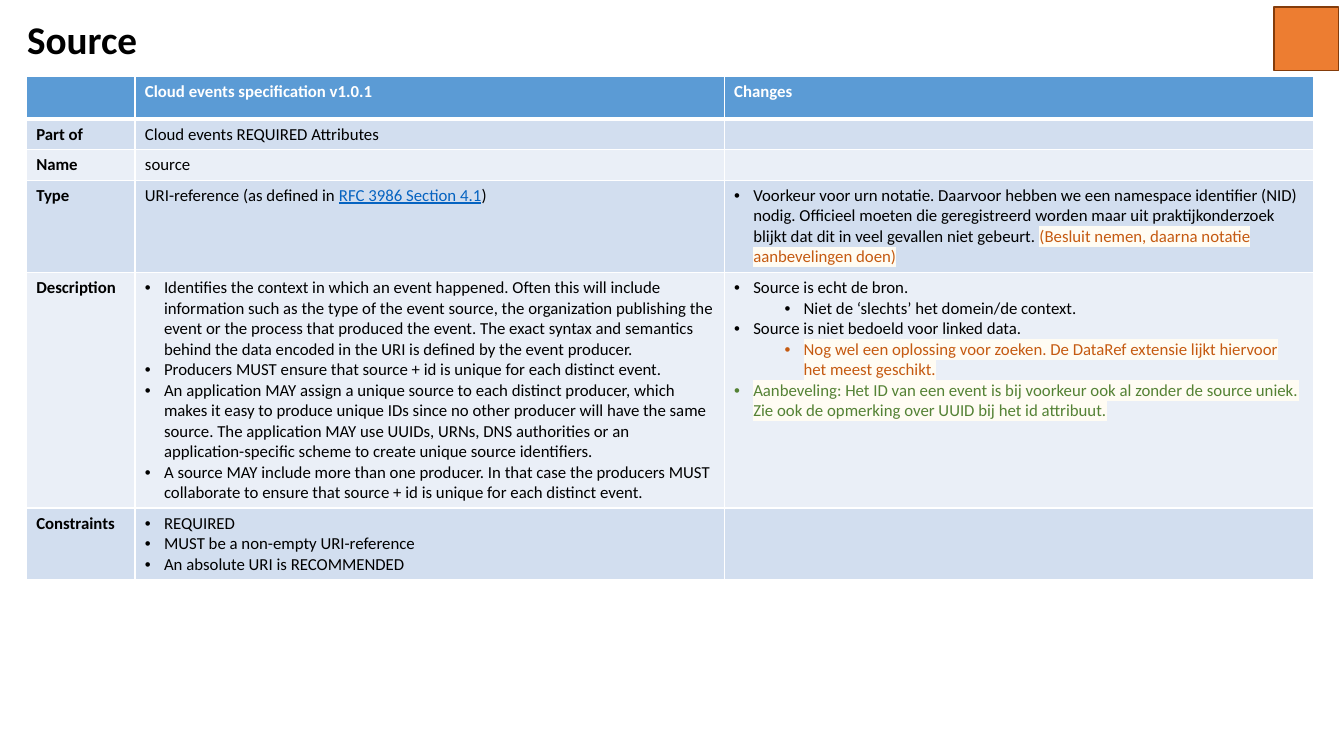
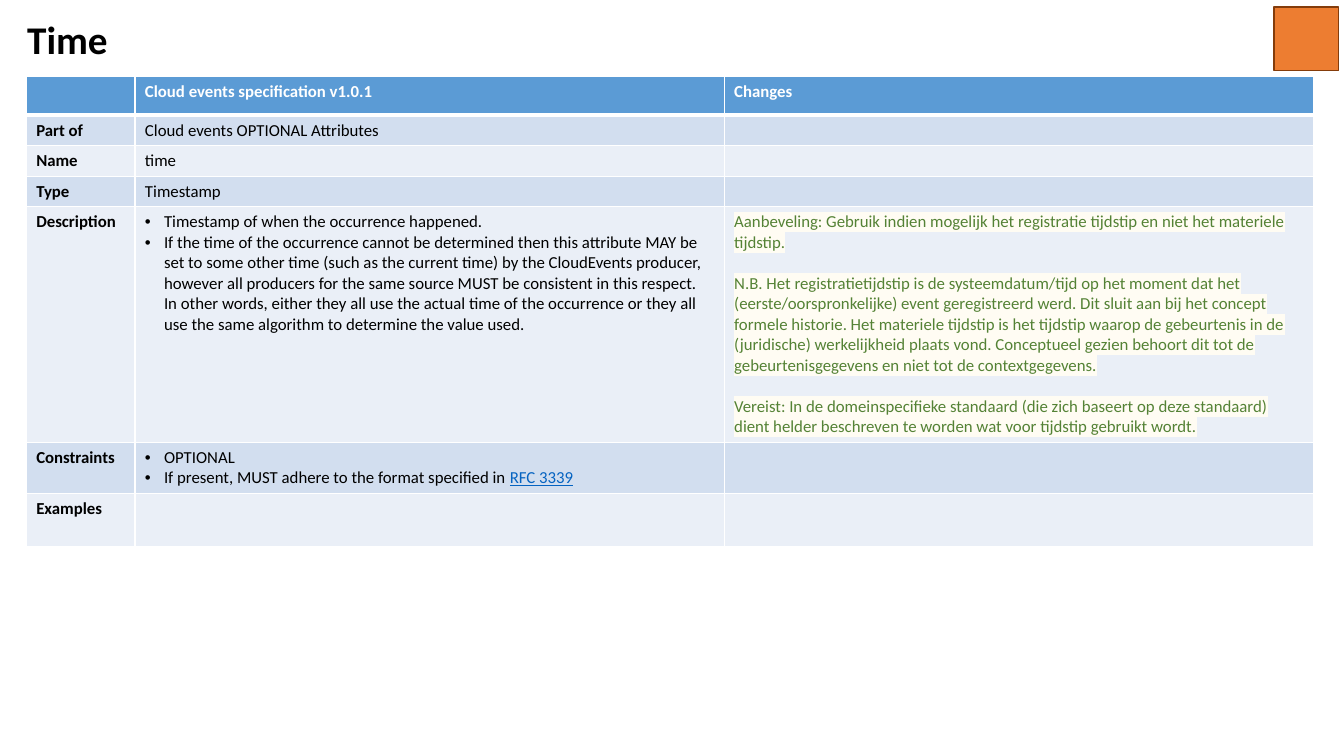
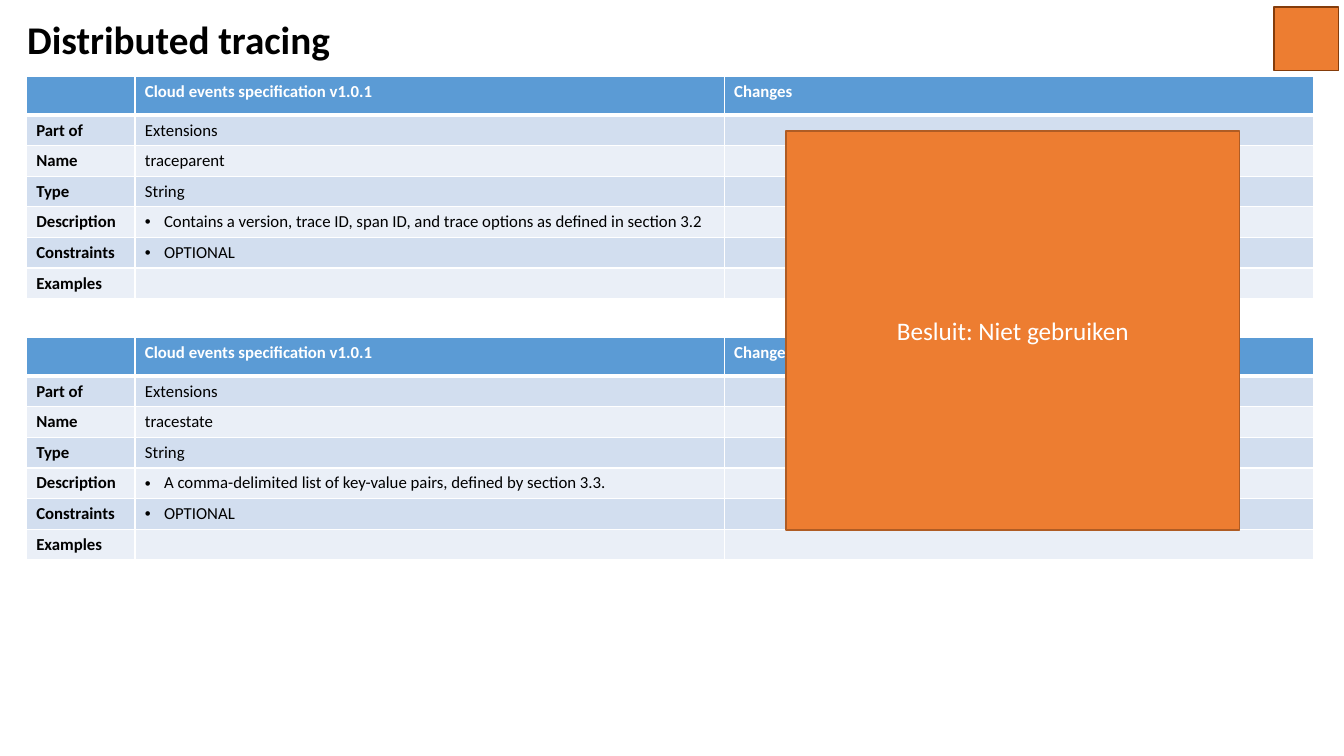
from collections import namedtuple

from lxml.etree import SubElement
from pptx import Presentation
from pptx.dml.color import RGBColor
from pptx.enum.shapes import MSO_SHAPE
from pptx.enum.text import MSO_ANCHOR, PP_ALIGN
from pptx.oxml.ns import qn
from pptx.util import Cm, Pt

COLORS = {
    "black": "000000", "white": "FFFFFF", "header": "5B9BD5",
    "band_dark": "D2DEEF", "band_light": "EAEFF7", "highlight": "FFFCF3",
    "link": "0563C1", "open": "C55A11", "advice": "548235",
    "marker": "ED7D31", "marker_line": "843C0B", "decision_line": "AF5C24",
}
FONT = "Calibri"
STYLES = {
    "title": {"size": Pt(28), "bold": True, "color": "black"},
    "header": {"size": Pt(12), "bold": True, "color": "white"},
    "label": {"size": Pt(12), "bold": True, "color": "black"},
    "body": {"size": Pt(12), "bold": False, "color": "black"},
    "link": {"size": Pt(12), "bold": False, "underline": True, "color": "link"},
    "open": {"size": Pt(12), "bold": False, "color": "open", "highlight": "highlight"},
    "advice": {"size": Pt(12), "bold": False, "color": "advice", "highlight": "highlight"},
    "decision": {"size": Pt(18), "bold": False, "color": "white"},
}

Box = namedtuple("Box", "left top width height")
Run = namedtuple("Run", "text style", defaults=["body"])
Para = namedtuple("Para", "runs level before", defaults=[None, 0])

TITLE_BOX = Box(0.43, 0.18, 15.11, 1.75)
MARKER_BOX = Box(32.11, 0.18, 1.63, 1.6)
TABLE_BOX = Box(0.66, 1.93, 32.44, None)
SECOND_TABLE_BOX = TABLE_BOX._replace(top=8.51)
DECISION_BOX = Box(19.81, 3.3, 11.43, 10.06)
LABEL_WIDTH = 2.74
HANGING = 0.48
LEVEL_STEP = 1.27
ROW = 0.77
BLANK_LINE = 14.65


def rgb(name):
    return RGBColor.from_string(COLORS[name])


def place(sp, box):
    for name, value in box._asdict().items():
        setattr(sp, name, Cm(value))


def add_run(p, text, style):
    r = p.add_run()
    r.text = text
    for name, value in STYLES[style].items():
        if name == "color":
            r.font.color.rgb = rgb(value)
        elif name == "highlight":
            mark = SubElement(r.font._element, qn("a:highlight"))
            SubElement(mark, qn("a:srgbClr"), val=COLORS[value])
        else:
            setattr(r.font, name, value)
    r.font.name = FONT


def set_bullet(p, level):
    pPr = p._p.get_or_add_pPr()
    pPr.set("marL", str(Cm(HANGING + level * LEVEL_STEP)))
    pPr.set("indent", str(-Cm(HANGING)))
    SubElement(pPr, qn("a:buFont"), typeface="Arial")
    SubElement(pPr, qn("a:buChar"), char="•")
    p.level = level


def fill_text(tf, paras):
    for i, para in enumerate(paras):
        p = tf.add_paragraph() if i else tf.paragraphs[0]
        if para.level is not None:
            set_bullet(p, para.level)
        if para.before:
            p.space_before = Pt(para.before)
        for text, style in para.runs:
            add_run(p, text, style)
    if not paras:
        SubElement(tf.paragraphs[0]._p, qn("a:endParaRPr"), sz="1200")


def line(text, style="body"):
    return [Para([Run(text, style)])]


def bullet(text, style="body", level=0):
    return Para([Run(text, style)], level)


def bullets(*texts):
    return [bullet(text) for text in texts]


def set_borders(cell, top, bottom):
    tcPr = cell._tc.get_or_add_tcPr()
    for side, width in (("L", 1), ("R", 1), ("T", top), ("B", bottom)):
        ln = SubElement(tcPr, qn(f"a:ln{side}"), w=str(Pt(width)))
        fill = SubElement(ln, qn("a:solidFill"))
        SubElement(fill, qn("a:srgbClr"), val=COLORS["white"])


def add_spec_table(s, box, heights, rows):
    header = ([], line("Cloud events specification v1.0.1", "header"), line("Changes", "header"))
    body = [(line(label, "label"), spec, changes) for label, spec, changes in rows]
    frame = s.shapes.add_table(len(body) + 1, 3, Cm(box.left), Cm(box.top),
                               Cm(box.width), Cm(sum(heights)))
    table = frame.table
    text_width = (box.width - LABEL_WIDTH) / 2
    for column, width in zip(table.columns, (LABEL_WIDTH, text_width, text_width)):
        column.width = Cm(width)
    for i, (height, cells) in enumerate(zip(heights, [header, *body])):
        table.rows[i].height = Cm(height)
        band = "header" if i == 0 else "band_dark" if i % 2 else "band_light"
        for j, paras in enumerate(cells):
            cell = table.cell(i, j)
            set_borders(cell, 3 if i == 1 else 1, 3 if i == 0 else 1)
            cell.fill.solid()
            cell.fill.fore_color.rgb = rgb(band)
            fill_text(cell.text_frame, paras)


def add_box(s, box, line_color, text=None):
    sp = s.shapes.add_shape(MSO_SHAPE.RECTANGLE, *(Cm(v) for v in box))
    sp.shadow.inherit = False
    sp.fill.solid()
    sp.fill.fore_color.rgb = rgb("marker")
    sp.line.color.rgb = rgb(line_color)
    sp.line.width = Pt(1)
    if text:
        tf = sp.text_frame
        tf.vertical_anchor = MSO_ANCHOR.MIDDLE
        fill_text(tf, line(text, "decision"))
        tf.paragraphs[0].alignment = PP_ALIGN.CENTER


def add_attribute_slide(prs, title, tables):
    s = prs.slides.add_slide(prs.slide_layouts[5])
    place(s.shapes.title, TITLE_BOX)
    tf = s.shapes.title.text_frame
    tf.vertical_anchor = MSO_ANCHOR.MIDDLE
    fill_text(tf, line(title, "title"))
    for name, value in {"alignment": PP_ALIGN.LEFT, "line_spacing": 0.9}.items():
        setattr(tf.paragraphs[0], name, value)
    for box, heights, rows in tables:
        add_spec_table(s, box, heights, rows)
    add_box(s, MARKER_BOX, "marker_line")
    return s


def trace_table(box, name, description):
    rows = [
        ("Part of", line("Extensions"), []),
        ("Name", line(name), []),
        ("Type", line("String"), []),
        ("Description", bullets(description), []),
        ("Constraints", bullets("OPTIONAL"), []),
        ("Examples", [], []),
    ]
    return box, [0.97] + [ROW] * len(rows), rows


SOURCE_ROWS = [
    ("Part of", line("Cloud events REQUIRED Attributes"), []),
    ("Name", line("source"), []),
    ("Type",
     [Para([Run("URI-reference (as defined in "), Run("RFC 3986 Section 4.1", "link"), Run(")")])],
     [Para([Run("Voorkeur voor urn notatie. Daarvoor hebben we een namespace identifier (NID) "
                "nodig. Officieel moeten die geregistreerd worden maar uit praktijkonderzoek "
                "blijkt dat dit in veel gevallen niet gebeurt. "),
            Run("(Besluit nemen, daarna notatie aanbevelingen doen)", "open")], 0)]),
    ("Description",
     bullets(
         "Identifies the context in which an event happened. Often this will include "
         "information such as the type of the event source, the organization publishing the "
         "event or the process that produced the event. The exact syntax and semantics "
         "behind the data encoded in the URI is defined by the event producer.",
         "Producers MUST ensure that source + id is unique for each distinct event.",
         "An application MAY assign a unique source to each distinct producer, which "
         "makes it easy to produce unique IDs since no other producer will have the same "
         "source. The application MAY use UUIDs, URNs, DNS authorities or an "
         "application-specific scheme to create unique source identifiers.",
         "A source MAY include more than one producer. In that case the producers MUST "
         "collaborate to ensure that source + id is unique for each distinct event."),
     [bullet("Source is echt de bron."),
      bullet("Niet de ‘slechts’ het domein/de context.", level=1),
      bullet("Source is niet bedoeld voor linked data."),
      bullet("Nog wel een oplossing voor zoeken. De DataRef extensie lijkt hiervoor "
             "het meest geschikt.", "open", 1),
      bullet("Aanbeveling: Het ID van een event is bij voorkeur ook al zonder de source uniek. "
             "Zie ook de opmerking over UUID bij het id attribuut.", "advice")]),
    ("Constraints",
     bullets("REQUIRED", "MUST be a non-empty URI-reference", "An absolute URI is RECOMMENDED"),
     []),
]

TIME_ROWS = [
    ("Part of", line("Cloud events OPTIONAL Attributes"), []),
    ("Name", line("time"), []),
    ("Type", line("Timestamp"), []),
    ("Description",
     bullets(
         "Timestamp of when the occurrence happened.",
         "If the time of the occurrence cannot be determined then this attribute MAY be "
         "set to some other time (such as the current time) by the CloudEvents producer, "
         "however all producers for the same source MUST be consistent in this respect. In "
         "other words, either they all use the actual time of the occurrence or they all use "
         "the same algorithm to determine the value used."),
     [Para([Run("Aanbeveling: Gebruik indien mogelijk het registratie tijdstip en niet het "
                "materiele tijdstip.", "advice")]),
      Para([Run("N.B. Het registratietijdstip is de systeemdatum/tijd op het moment dat het "
                "(eerste/oorspronkelijke) event geregistreerd werd. Dit sluit aan bij het concept "
                "formele historie. Het materiele tijdstip is het tijdstip waarop de gebeurtenis "
                "in de (juridische) werkelijkheid plaats vond. Conceptueel gezien behoort dit "
                "tot de gebeurtenisgegevens en niet tot de contextgegevens.", "advice")],
           before=BLANK_LINE),
      Para([Run("Vereist: In de domeinspecifieke standaard (die zich baseert op deze standaard) "
                "dient helder beschreven te worden wat voor tijdstip gebruikt wordt.", "advice")],
           before=BLANK_LINE)]),
    ("Constraints",
     [bullet("OPTIONAL"),
      Para([Run("If present, MUST adhere to the format specified in "),
            Run("RFC 3339", "link")], 0)],
     []),
    ("Examples", [], []),
]


def main():
    prs = Presentation()
    prs.slide_width, prs.slide_height = Cm(33.87), Cm(19.05)
    add_attribute_slide(prs, "Source", [
        (TABLE_BOX, [1.07, ROW, ROW, 2.33, 5.93, 1.8], SOURCE_ROWS)])
    add_attribute_slide(prs, "Time", [
        (TABLE_BOX, [0.97, ROW, ROW, ROW, 5.93, 1.28, 1.35], TIME_ROWS)])
    s = add_attribute_slide(prs, "Distributed tracing", [
        trace_table(TABLE_BOX, "traceparent", "Contains a version, trace ID, span ID, and "
                    "trace options as defined in section 3.2"),
        trace_table(SECOND_TABLE_BOX, "tracestate", "A comma-delimited list of key-value pairs, "
                    "defined by section 3.3.")])
    add_box(s, DECISION_BOX, "decision_line", "Besluit: Niet gebruiken")
    prs.save("out.pptx")


if __name__ == "__main__":
    main()
